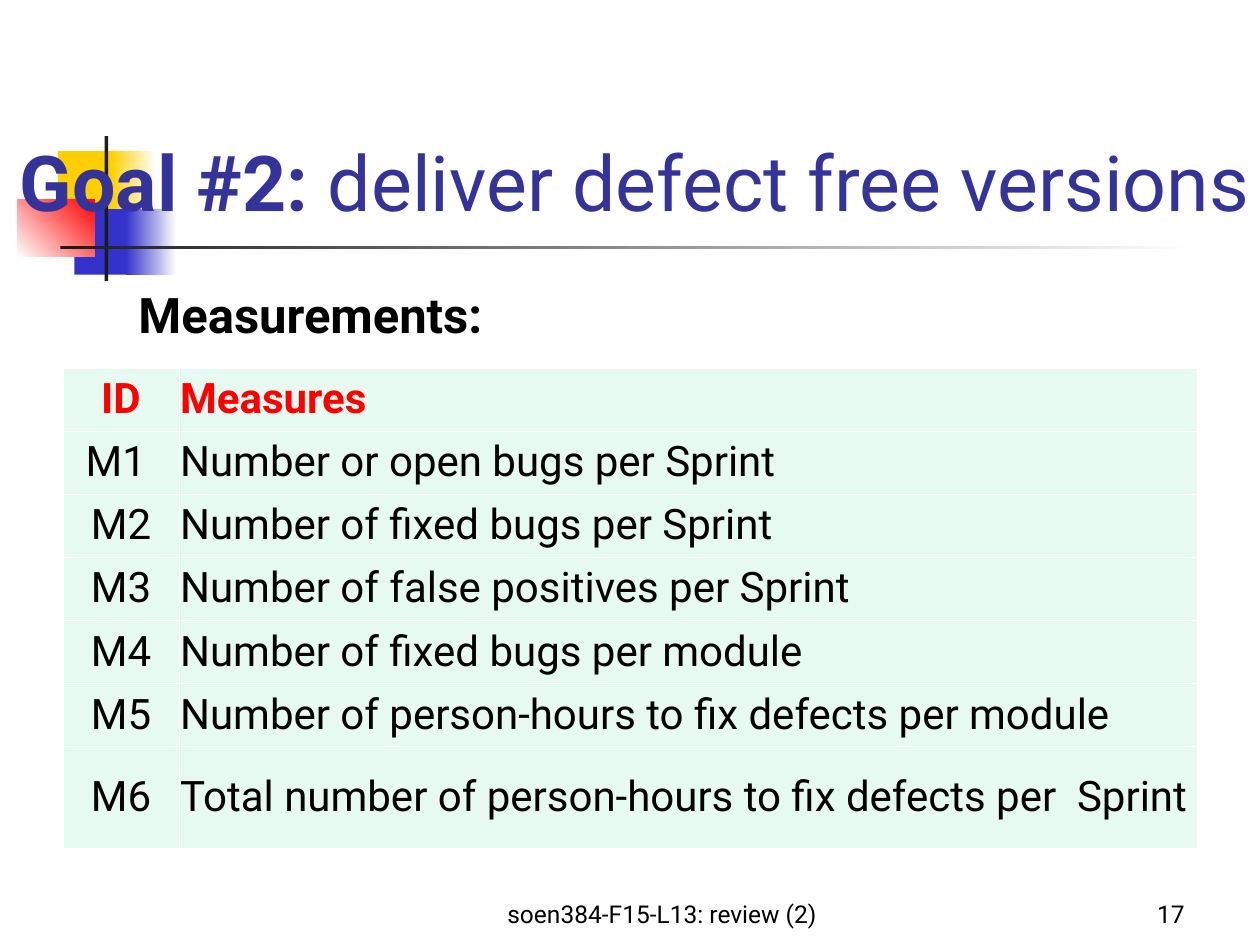
from lxml.etree import SubElement
from pptx import Presentation
from pptx.dml.color import RGBColor
from pptx.enum.shapes import MSO_SHAPE as Shape
from pptx.enum.text import MSO_ANCHOR as Anchor, PP_ALIGN as Align
from pptx.oxml.ns import qn
from pptx.util import Inches, Pt

THEME = {
    "font": "Roboto",
    "title": "333399", "text": "000000", "header": "FF0000",
    "cell": "E7FAF1", "white": "FFFFFF",
    "yellow": "FFCF01", "blue": "3333CC", "red": "FF0000", "dark": "1C1C1C",
    "title_size": 44, "heading_size": 28, "table_size": 24, "footer_size": 14,
}

TITLE = [("Goal #2: ", True), ("deliver defect free versions ", False)]
HEADING = "Measurements:"
FOOTER = "soen384-F15-L13: review (2)"
PAGE_NUMBER = "17"
MEASURES = [
    ("ID", "Measures"),
    ("M1 ", "Number or open bugs per Sprint"),
    ("M2", "Number of fixed bugs per Sprint"),
    ("M3", "Number of false positives per Sprint"),
    ("M4", "Number of fixed bugs per module"),
    ("M5", "Number of person-hours to fix defects per module"),
    ("M6", "Total number of person-hours to fix defects per  Sprint"),
]
COLUMN_WIDTHS = (0.92, 8.08)
ROW_HEIGHT, LAST_ROW_HEIGHT = 0.41, 0.81

# (left, top, width, height), colours, gradient angle
ORNAMENTS = [
    ((0.46, 1.2, 0.48, 0.52), ("yellow",), 0),
    ((0.88, 1.2, 0.36, 0.52), ("yellow", "white"), 0),
    ((0.59, 1.66, 0.46, 0.52), ("blue",), 0),
    ((1, 1.66, 0.4, 0.52), ("blue", "white"), 0),
    ((0.14, 1.58, 0.61, 0.46), ("white", "red"), 45),
    ((0.83, 1.08, 0.03, 1.15), ("dark",), 0),
    ((0.48, 1.95, 9, 0.03), ("dark", "white"), 0),
]


def color(name):
    return RGBColor.from_string(THEME[name])


def style(paragraph, size, color_name, bold=None, align=Align.LEFT):
    font = paragraph.font
    font.name, font.size, font.bold = THEME["font"], Pt(THEME[size]), bold
    font.color.rgb = color(color_name)
    paragraph.alignment = align


def add_ornament(page, place, colors, angle):
    block = page.shapes.add_shape(Shape.RECTANGLE, *map(Inches, place))
    block.shadow.inherit = False
    block.line.fill.background()
    if len(colors) == 1:
        block.fill.solid()
        block.fill.fore_color.rgb = color(colors[0])
    else:
        block.fill.gradient()
        block.fill.gradient_angle = angle
        for stop, name in zip(block.fill.gradient_stops, colors):
            stop.color.rgb = color(name)


def add_text(page, place, spans, size, color_name, align=Align.LEFT, anchor=Anchor.BOTTOM):
    """Add a one-paragraph box from (text, bold) spans and return the paragraph."""
    frame = page.shapes.add_textbox(*map(Inches, place)).text_frame
    frame.word_wrap = True
    frame.vertical_anchor = anchor
    para = frame.paragraphs[0]
    style(para, size, color_name, align=align)
    for text, bold in spans:
        span = para.add_run()
        span.text, span.font.bold = text, bold
    return para


def add_borders(cell):
    properties = cell._tc.get_or_add_tcPr()
    for index, side in enumerate(("lnL", "lnR", "lnT", "lnB")):
        line = SubElement(properties, qn(f"a:{side}"), w=str(Pt(0.45)))
        fill = SubElement(line, qn("a:solidFill"))
        SubElement(fill, qn("a:srgbClr"), val=THEME["white"])
        properties.remove(line)
        properties.insert(index, line)  # borders come before the fill


def add_measures(page):
    heights = [ROW_HEIGHT] * (len(MEASURES) - 1) + [LAST_ROW_HEIGHT]
    table = page.shapes.add_table(
        len(MEASURES), len(COLUMN_WIDTHS), Inches(0.5), Inches(2.92),
        Inches(sum(COLUMN_WIDTHS)), Inches(sum(heights))).table
    table.first_row = table.horz_banding = False
    for column, width in zip(table.columns, COLUMN_WIDTHS):
        column.width = Inches(width)
    for row_index, (row, height) in enumerate(zip(table.rows, heights)):
        row.height = Inches(height)
        is_header = row_index == 0
        for column_index, cell in enumerate(row.cells):
            cell.text = MEASURES[row_index][column_index]
            cell.vertical_anchor = Anchor.MIDDLE
            cell.margin_left = cell.margin_right = Inches(0.01)
            cell.fill.solid()
            cell.fill.fore_color.rgb = color("cell")
            add_borders(cell)
            style(cell.text_frame.paragraphs[0], "table_size",
                  "header" if is_header else "text", is_header,
                  Align.CENTER if column_index == 0 else Align.LEFT)


def main():
    deck = Presentation()
    deck.slide_width, deck.slide_height = Inches(10), Inches(7.5)
    page = deck.slides.add_slide(deck.slide_layouts[6])
    for ornament in ORNAMENTS:
        add_ornament(page, *ornament)
    add_text(page, (0, 0.25, 10.08, 1.6), TITLE, "title_size", "title", Align.CENTER)
    heading = add_text(page, (0.5, 2.21, 9.29, 4.5), [(HEADING, True)],
                       "heading_size", "text", anchor=Anchor.TOP)
    heading._p.get_or_add_pPr().set("marL", str(Inches(0.5)))
    add_text(page, (3.67, 6.92, 3.17, 0.5), [(FOOTER, False)],
             "footer_size", "text", Align.CENTER)
    add_text(page, (7.42, 6.92, 2.08, 0.5), [(PAGE_NUMBER, False)],
             "footer_size", "text", Align.RIGHT)
    add_measures(page)
    deck.save("out.pptx")


if __name__ == "__main__":
    main()
